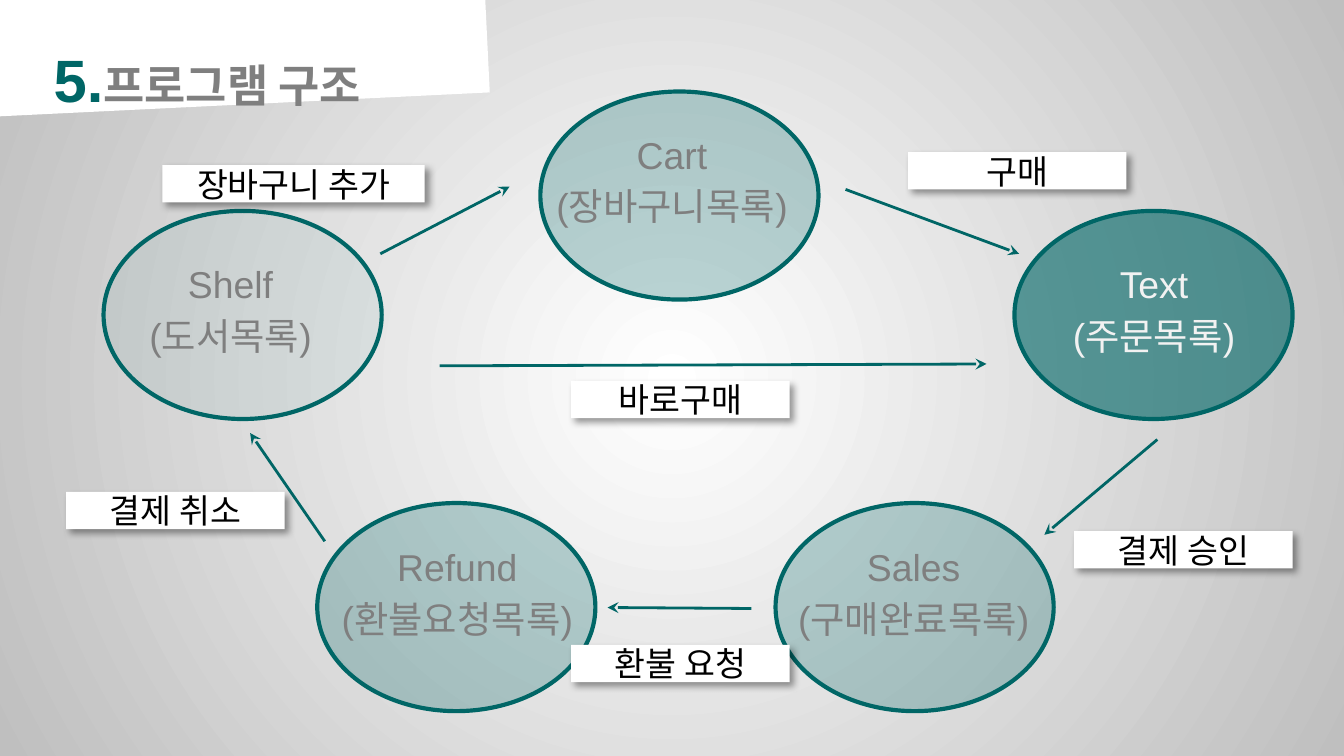
from pptx import Presentation
from pptx.dml.color import RGBColor
from pptx.enum.shapes import MSO_CONNECTOR, MSO_SHAPE
from pptx.enum.text import MSO_ANCHOR, MSO_AUTO_SIZE, PP_ALIGN
from pptx.oxml import parse_xml
from pptx.oxml.ns import nsdecls, qn
from pptx.util import Pt

TEAL = RGBColor(0x00, 0x66, 0x66)
GRAY = RGBColor(0x7F, 0x7F, 0x7F)
PALE = RGBColor(0xF2, 0xF2, 0xF2)
SILVER = RGBColor(0xBF, 0xBF, 0xBF)
WHITE = RGBColor(0xFF, 0xFF, 0xFF)
BLACK = RGBColor(0x00, 0x00, 0x00)

NODE_W, NODE_H, CAPTION_H, LABEL_H = 149, 111.5, 82, 20

# name, list name, ellipse left/top, caption left/top/width, opacity %, text colour
NODES = [
    ("Shelf", "(도서목록)", (55.5, 113), (62, 133, 123), 6, GRAY),
    ("Cart", "(장바구니목록)", (289.5, 49), (281.5, 63.5, 157), 26, GRAY),
    ("Text", "(주문목록)", (543.5, 113), (548, 133, 140.5), 62, PALE),
    ("Refund", "(환불요청목록)", (170, 269.5), (166.5, 284.5, 157), 26, GRAY),
    ("Sales", "(구매완료목록)", (415.5, 269.5), (411, 284.5, 157), 26, GRAY),
]
ARROWS = [
    (203.75, 136, 273, 100),
    (453, 101.5, 546, 136),
    (620, 235.5, 559.5, 286.5),
    (402.5, 326, 325.5, 325.5),
    (174, 290, 134, 232),
    (235.5, 196, 528.5, 195),
]
# text, left, top, width
LABELS = [
    ("바로구매", 306, 204, 117),
    ("장바구니 추가", 87, 88.5, 140.5),
    ("결제 취소", 35.5, 263.5, 117),
    ("환불 요청", 306, 345.5, 117),
    ("결제 승인", 575.5, 284.5, 117),
    ("구매", 486.5, 81.5, 117),
]


def pts(*values):
    return [Pt(v) for v in values]


def add_run(p, text, color, **font):
    r = p.add_run()
    r.text = text
    r.font.color.rgb = color
    for name, value in {"name": "Arial", **font}.items():
        setattr(r.font, name, value)


def set_frame(tf, anchor):
    frame = {"word_wrap": True, "auto_size": MSO_AUTO_SIZE.NONE, "vertical_anchor": anchor}
    for name, value in frame.items():
        setattr(tf, name, value)


def add_background(s):
    """Radial gradient, white in the centre."""
    fill = s.background.fill
    fill.gradient()
    for stop, color in zip(fill.gradient_stops, (WHITE, SILVER)):
        stop.color.rgb = color
    grad = s.element.find(".//" + qn("a:gradFill"))
    grad.replace(grad.find(qn("a:lin")), parse_xml(
        f'<a:path {nsdecls("a")} path="circle">'
        '<a:fillToRect l="50000" t="50000" r="50000" b="50000"/></a:path>'))


def add_header(s, box):
    card = s.shapes.add_shape(MSO_SHAPE.RECTANGLE, *pts(-22.5, -29, 283, 85.5))
    card.rotation = -2.8
    card.shadow.inherit = False
    card.fill.solid()
    card.fill.fore_color.rgb = WHITE
    card.line.fill.background()

    title = s.shapes.title
    card.element.addnext(title.element)  # title in front of the card
    title.left, title.top, title.width, title.height = pts(*box)
    set_frame(title.text_frame, MSO_ANCHOR.TOP)
    p = title.text_frame.paragraphs[0]
    p.alignment, p.line_spacing = PP_ALIGN.JUSTIFY, 1.5
    add_run(p, "5.", TEAL, size=Pt(32), bold=True)
    add_run(p, "프로그램 구조", GRAY, size=Pt(24), bold=True)


def add_node(s, name, list_name, corner, caption, opacity, color):
    sp = s.shapes.add_shape(MSO_SHAPE.OVAL, *pts(*corner, NODE_W, NODE_H))
    sp.shadow.inherit = False
    sp.fill.solid()
    sp.fill.fore_color.rgb = TEAL
    clr = sp.element.spPr.find(qn("a:solidFill")).find(qn("a:srgbClr"))
    clr.append(parse_xml(f'<a:alpha {nsdecls("a")} val="{opacity * 1000}"/>'))
    sp.line.color.rgb = TEAL
    sp.line.width = Pt(2.25)

    tf = s.shapes.add_textbox(*pts(*caption, CAPTION_H)).text_frame
    set_frame(tf, MSO_ANCHOR.TOP)
    for p, text in zip((tf.paragraphs[0], tf.add_paragraph()), (name, list_name)):
        p.alignment, p.line_spacing = PP_ALIGN.CENTER, 1.15
        add_run(p, text, color, size=Pt(20))


def add_arrow(s, ends):
    line = s.shapes.add_connector(MSO_CONNECTOR.STRAIGHT, *pts(*ends))
    line.line.color.rgb = TEAL
    line.line.width = Pt(1.5)
    line.line._get_or_add_ln().append(parse_xml(f'<a:tailEnd {nsdecls("a")} type="stealth"/>'))
    line._element.spPr.append(parse_xml(f'<a:effectLst {nsdecls("a")}/>'))


def add_label(s, text, left, top, width):
    """White tag with a soft shadow to the lower right."""
    sp = s.shapes.add_shape(MSO_SHAPE.RECTANGLE, *pts(left, top, width, LABEL_H))
    sp.fill.solid()
    sp.fill.fore_color.rgb = WHITE
    sp.line.fill.background()
    sp.element.spPr.append(parse_xml(
        f'<a:effectLst {nsdecls("a")}><a:outerShdw blurRad="{Pt(4)}" dist="{Pt(3)}" '
        'dir="2700000" algn="tl" rotWithShape="0"><a:srgbClr val="000000">'
        '<a:alpha val="40000"/></a:srgbClr></a:outerShdw></a:effectLst>'))
    set_frame(sp.text_frame, MSO_ANCHOR.MIDDLE)
    p = sp.text_frame.paragraphs[0]
    p.alignment = PP_ALIGN.CENTER
    add_run(p, text, BLACK, size=Pt(18))


def main():
    prs = Presentation()
    prs.slide_width, prs.slide_height = pts(720, 405)
    s = prs.slides.add_slide(prs.slide_layouts[5])
    add_background(s)
    add_header(s, (21.5, 0, 204, 45.5))
    for node in NODES:
        add_node(s, *node)
    for ends in ARROWS:
        add_arrow(s, ends)
    for label in LABELS:
        add_label(s, *label)
    prs.save("out.pptx")


if __name__ == "__main__":
    main()
